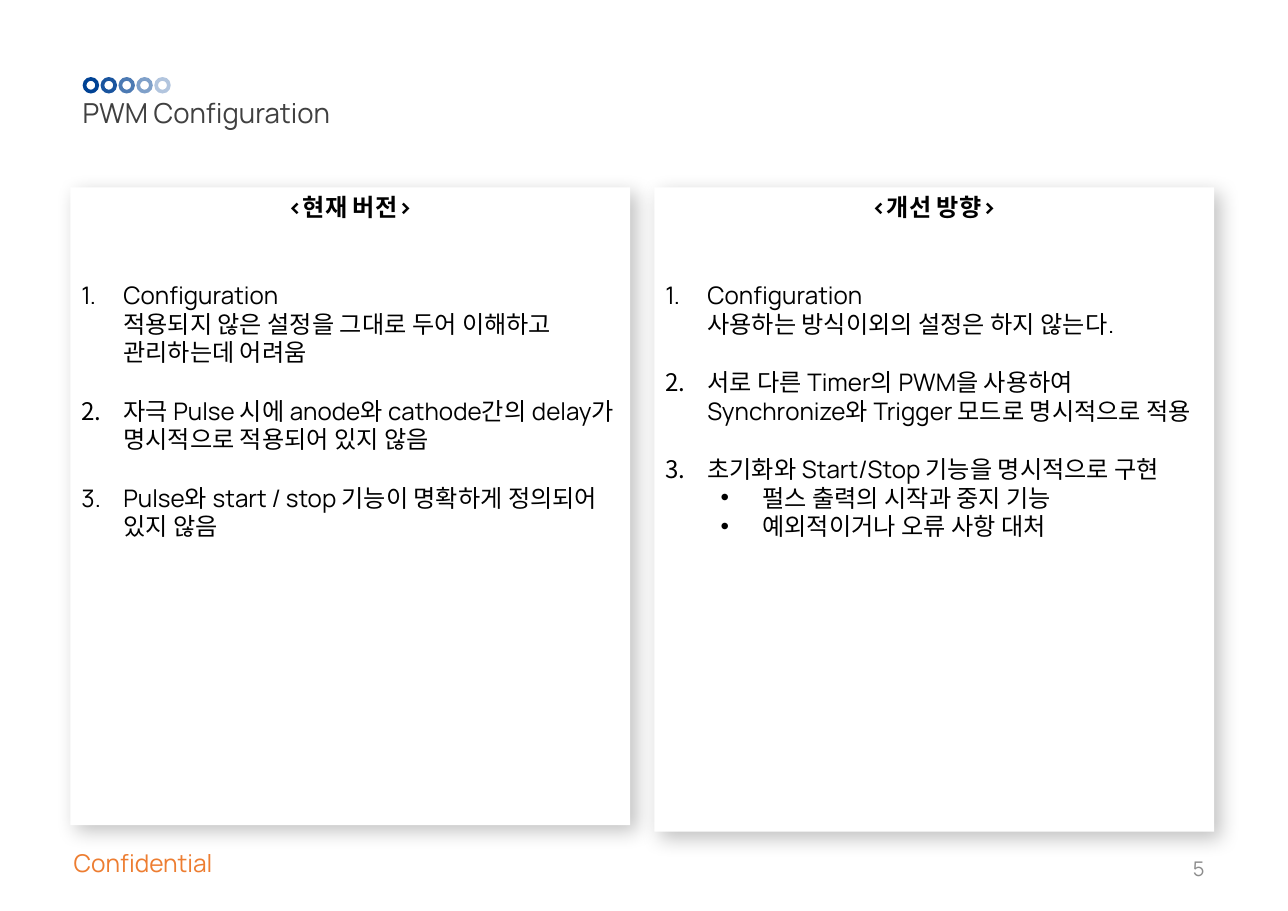
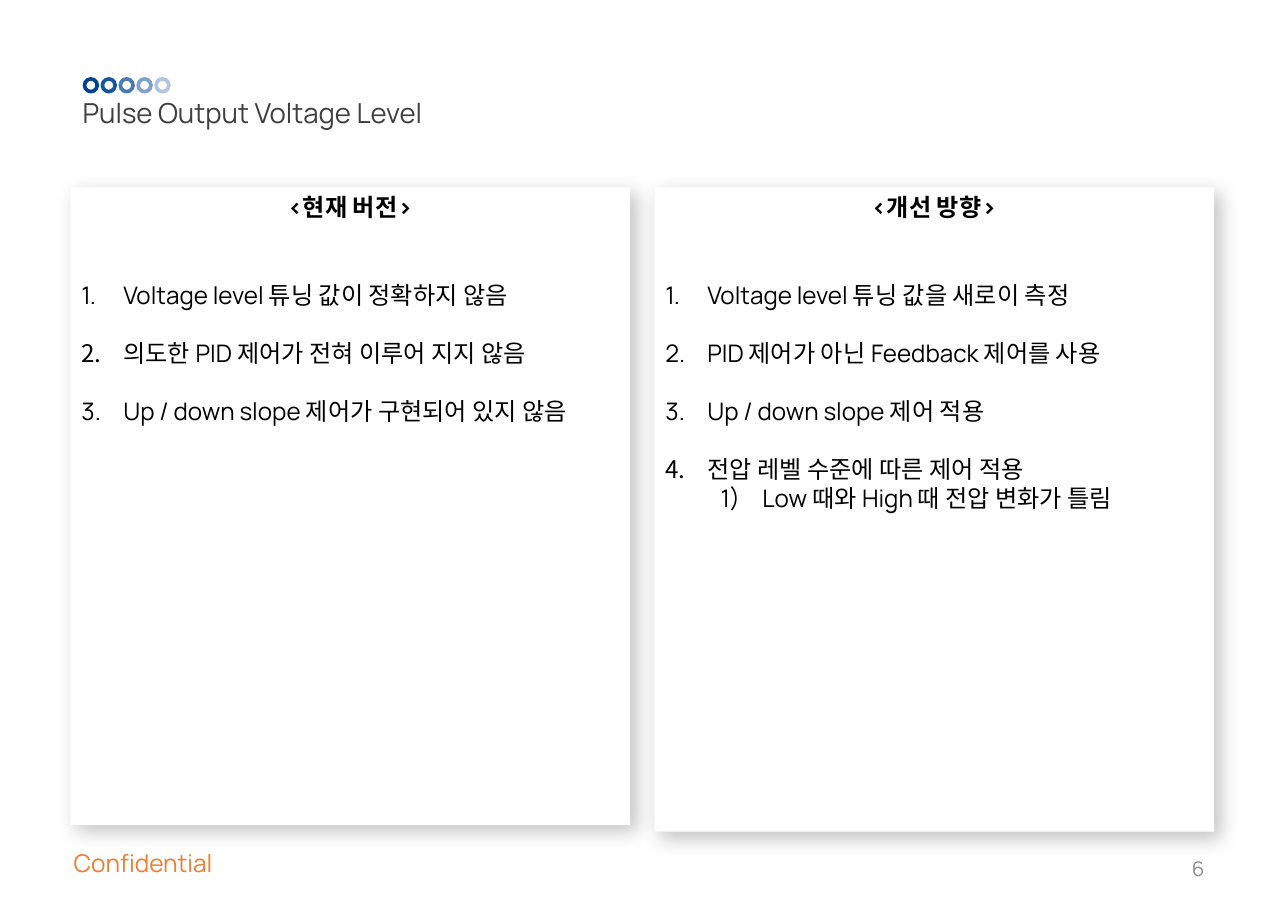
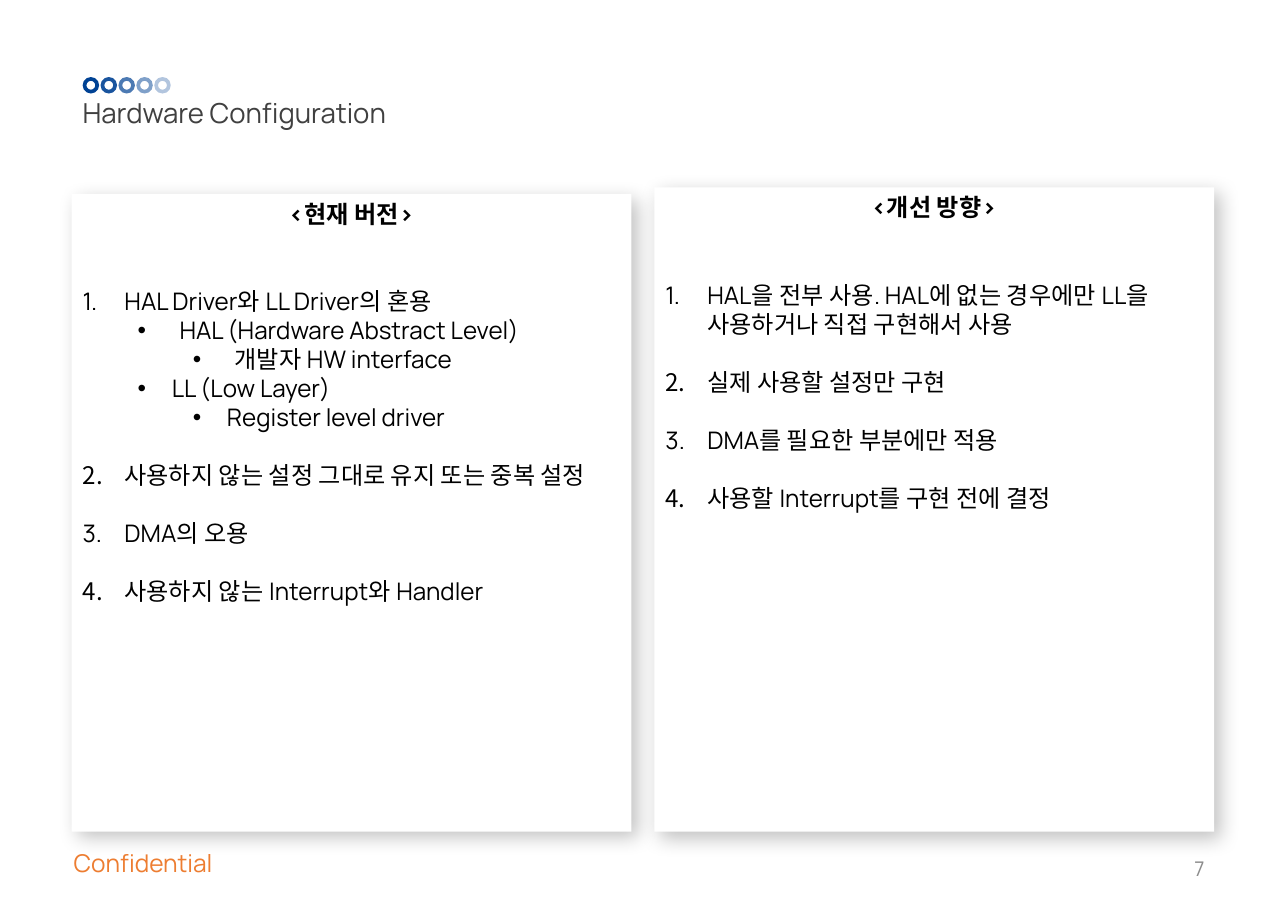
from dataclasses import dataclass

from lxml.etree import SubElement
from pptx import Presentation
from pptx.dml.color import RGBColor
from pptx.enum.shapes import MSO_SHAPE
from pptx.enum.text import MSO_ANCHOR, MSO_AUTO_SIZE, PP_ALIGN
from pptx.oxml.ns import qn
from pptx.util import Inches, Pt

WIDE, HIGH = Inches(11.69), Inches(8.27)


@dataclass(frozen=True)
class Theme:
    """Colours, type sizes and indents of the deck."""
    face: str = "Manrope"
    blue: str = "004294"
    orange: str = "ED7D31"
    dark: str = "404040"
    grey: str = "8C8C8C"
    black: str = "000000"
    white: str = "FFFFFF"
    title: float = 18
    body: float = 15.8
    foot: float = 16
    page: float = 13.2
    gap: float = 19
    hang: float = 0.38
    tight: float = 0.31
    step: float = 0.5


@dataclass(frozen=True)
class Item:
    """One list entry with its level, mark and hanging indent."""
    text: str
    level: int = 0
    mark: str = "•"
    hang: float = Theme.hang


LOOK = Theme()
LEFT, RIGHT = (5.47, 20.56, 43.46, 70.01), (50.81, 20.56, 43.46, 70.74)
LOWER = (5.56, 21.28, 43.46, 70.01)
NOW, NEXT = "<현재 버전>", "<개선 방향>"
AUTO = {"1.": "arabicPeriod", "1)": "arabicParenR"}


def num(text):
    """Make a numbered entry of the top level."""
    return Item(text, mark="1.")


DECK = [
    ("PWM Configuration", LEFT, [
        num("Configuration\n적용되지 않은 설정을 그대로 두어 이해하고 관리하는데 어려움"),
        num("자극 Pulse 시에 anode와 cathode간의 delay가 명시적으로 적용되어 있지 않음"),
        num("Pulse와 start / stop 기능이 명확하게 정의되어 있지 않음"),
    ], [
        num("Configuration\n사용하는 방식이외의 설정은 하지 않는다."),
        num("서로 다른 Timer의 PWM을 사용하여 Synchronize와 Trigger 모드로 명시적으로 적용"),
        num("초기화와 Start/Stop 기능을 명시적으로 구현"),
        Item("펄스 출력의 시작과 중지 기능", 1),
        Item("예외적이거나 오류 사항 대처", 1),
    ]),
    ("Pulse Output Voltage Level", LEFT, [
        num("Voltage level 튜닝 값이 정확하지 않음"),
        num("의도한 PID 제어가 전혀 이루어 지지 않음"),
        num("Up / down slope 제어가 구현되어 있지 않음"),
    ], [
        num("Voltage level 튜닝 값을 새로이 측정"),
        num("PID 제어가 아닌 Feedback 제어를 사용"),
        num("Up / down slope 제어 적용"),
        num("전압 레벨 수준에 따른 제어 적용"),
        Item("Low 때와 High 때 전압 변화가 틀림", 1, "1)"),
    ]),
    ("Hardware Configuration", LOWER, [
        num("HAL Driver와 LL Driver의 혼용"),
        Item("HAL (Hardware Abstract Level)", 1),
        Item("개발자 HW interface", 2),
        Item("LL (Low Layer)", 1, hang=LOOK.tight),
        Item("Register level driver", 2, hang=LOOK.tight),
        num("사용하지 않는 설정 그대로 유지 또는 중복 설정"),
        num("DMA의 오용"),
        num("사용하지 않는 Interrupt와 Handler"),
    ], [
        num("HAL을 전부 사용. HAL에 없는 경우에만 LL을 사용하거나 직접 구현해서 사용"),
        num("실제 사용할 설정만 구현"),
        num("DMA를 필요한 부분에만 적용"),
        num("사용할 Interrupt를 구현 전에 결정"),
    ]),
]


def area(x, y, w, h):
    """Turn percent shares of the slide into lengths."""
    return [round(part * side / 100)
            for part, side in zip((x, y, w, h), (WIDE, HIGH, WIDE, HIGH))]


def place(shape, box):
    """Move a shape to a box given in shares."""
    shape.left, shape.top, shape.width, shape.height = area(*box)


def paint(shape, tone):
    """Fill a shape with one colour and drop its outline and shadow."""
    shape.fill.solid()
    shape.fill.fore_color.rgb = RGBColor.from_string(tone)
    shape.line.fill.background()
    shape.shadow.inherit = False


def write(para, text, size, tone, align=PP_ALIGN.LEFT, bold=False):
    """Set the text and type of a paragraph."""
    para.text = text
    para.alignment = align
    para.space_before = Pt(0)
    font = para.font
    font.name, font.size, font.bold = LOOK.face, Pt(size), bold
    font.color.rgb = RGBColor.from_string(tone)


def setup(frame, anchor):
    """Give a text frame fixed size, wrapping and an anchor."""
    frame.word_wrap = True
    frame.auto_size = MSO_AUTO_SIZE.NONE
    frame.vertical_anchor = anchor


def label(slide, text, box, size, tone, align=PP_ALIGN.LEFT):
    """Add a single line of text."""
    shape = slide.shapes.add_textbox(*area(*box))
    setup(shape.text_frame, MSO_ANCHOR.MIDDLE)
    write(shape.text_frame.paragraphs[0], text, size, tone, align)
    return shape


def bullet(para, mark, start=0, hang=0):
    """Set the mark and indent of a paragraph."""
    props = para._p.get_or_add_pPr()
    props.set("marL", str(Inches(start)))
    props.set("indent", str(-Inches(hang)))
    if not mark:
        SubElement(props, qn("a:buNone"))
    elif mark in AUTO:
        SubElement(props, qn("a:buFontTx"))
        SubElement(props, qn("a:buAutoNum"), type=AUTO[mark])
    else:
        SubElement(props, qn("a:buFont"), typeface="Arial")
        SubElement(props, qn("a:buChar"), char=mark)


def shade(shape):
    """Cast a soft shadow to the lower right."""
    list_ = shape.element.spPr.find(qn("a:effectLst"))
    cast = SubElement(list_, qn("a:outerShdw"), blurRad=str(Pt(13)),
                      dist=str(Pt(6)), dir="2700000", algn="tl", rotWithShape="0")
    tone = SubElement(cast, qn("a:srgbClr"), val=LOOK.black)
    SubElement(tone, qn("a:alpha"), val="23000")


def panel(shape, box, head, items):
    """Turn a body placeholder into a card with a heading and a list."""
    place(shape, box)
    paint(shape, LOOK.white)
    shade(shape)
    frame = shape.text_frame
    setup(frame, MSO_ANCHOR.TOP)
    top = frame.paragraphs[0]
    bullet(top, "")
    write(top, head, LOOK.body, LOOK.black, PP_ALIGN.CENTER, True)
    top.space_after = Pt(LOOK.gap)
    for item in items:
        para = frame.add_paragraph()
        para.level = item.level
        bullet(para, item.mark, item.hang + LOOK.step * item.level, item.hang)
        write(para, item.text, LOOK.body, LOOK.black)
        if not item.level:
            para.space_before = Pt(LOOK.gap)


def rings(slide):
    """Draw the row of fading rings."""
    row = []
    for spot, alpha in enumerate((100, 90, 70, 50, 30)):
        ring = slide.shapes.add_shape(
            MSO_SHAPE.DONUT, *area(6.42 + 1.39 * spot, 8.46, 1.28, 1.81))
        ring.adjustments[0] = 0.23
        paint(ring, LOOK.blue)
        tone = ring.element.spPr.find(qn("a:solidFill"))[0]
        SubElement(tone, qn("a:alpha"), val=str(alpha * 1000))
        row.append(ring)
    return row


def share(layout, slide):
    """Put the rings, the footer and the title's place on the layout."""
    place(layout.placeholders[0], (5.56, 9.92, 60, 4.84))
    foot = label(slide, "Confidential", (4.88, 92.5, 16, 4.47),
                 LOOK.foot, LOOK.orange)
    for shape in [*rings(slide), foot]:
        layout.shapes.element.append(shape.element)


def build(slide, page, title, box, now, later):
    """Fill one slide with its title, two cards and page number."""
    name, first, second = slide.placeholders
    setup(name.text_frame, MSO_ANCHOR.MIDDLE)
    write(name.text_frame.paragraphs[0], title, LOOK.title, LOOK.dark)
    panel(first, box, NOW, now)
    panel(second, RIGHT, NEXT, later)
    label(slide, str(page), (71.86, 92.62, 22.5, 5.32),
          LOOK.page, LOOK.grey, PP_ALIGN.RIGHT)


def main():
    """Build and save the deck."""
    prs = Presentation()
    prs.slide_width, prs.slide_height = WIDE, HIGH
    layout = prs.slide_layouts.get_by_name("Two Content")
    for page, parts in enumerate(DECK, 5):
        build(prs.slides.add_slide(layout), page, *parts)
    share(layout, prs.slides[0])
    prs.save("out.pptx")


if __name__ == "__main__":
    main()
